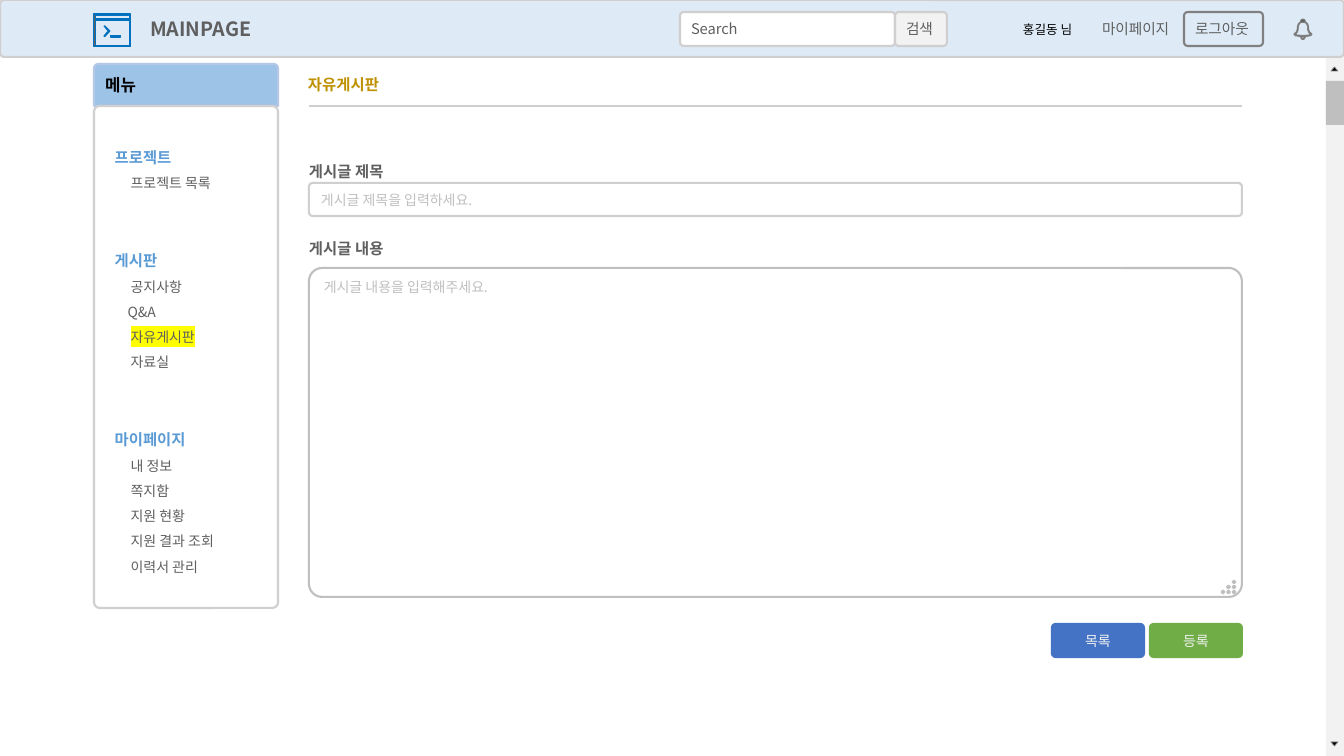
from dataclasses import dataclass
from lxml.etree import SubElement
from pptx import Presentation
from pptx.dml.color import RGBColor as RGB
from pptx.enum.shapes import MSO_CONNECTOR as CONN, MSO_SHAPE as SHAPE
from pptx.enum.text import MSO_ANCHOR as ANCHOR, PP_ALIGN as ALIGN
from pptx.oxml.ns import qn
from pptx.util import Emu, Pt

PX = 12192000 / 1344
TENTH = PX / 10


@dataclass(frozen=True)
class Theme:
    font: str = "Noto Sans CJK KR"
    white: str = "FFFFFF"
    black: str = "000000"
    text: str = "5F5F5F"
    border: str = "D0CECE"
    hint: str = "BFBFBF"
    pale: str = "F2F2F2"
    gray: str = "808080"
    bar: str = "DEEBF7"
    menu: str = "9DC3E6"
    menu_edge: str = "B4C7E7"
    link: str = "5B9BD5"
    gold: str = "BF9000"
    blue: str = "4472C4"
    green: str = "70AD47"
    icon: str = "0070C0"
    mark: str = "FFFF00"
    brand: float = 14
    head: float = 12
    label: float = 11
    control: float = 10.5
    body: float = 10
    small: float = 9
    edge: float = 1.5
    thin: float = 0.75
    hair: float = 0.5


T = Theme()


def px(n):
    return Emu(round(n * PX))


def set_all(obj, **values):
    for name, value in values.items():
        setattr(obj, name, value)


def paint(s, fill, line=None, width=T.edge):
    s.shadow.inherit = False
    s.fill.solid()
    s.fill.fore_color.rgb = RGB.from_string(fill)
    if line:
        s.line.color.rgb = RGB.from_string(line)
        s.line.width = Pt(width)
    else:
        s.line.fill.background()


def frame(s, pad=(10, 7), anchor=ANCHOR.MIDDLE, wrap=True):
    tf = s.text_frame
    left, top = px(pad[0]), px(pad[1])
    set_all(tf, word_wrap=wrap, vertical_anchor=anchor, margin_left=left,
            margin_right=min(left, px(19)), margin_top=top, margin_bottom=min(top, px(7)))
    return tf


def write(p, text, size, color, bold=False, align=ALIGN.LEFT, mark=None):
    p.alignment = align
    r = p.add_run()
    r.text = text
    set_all(r.font, name=T.font, size=Pt(size), bold=bold)
    r.font.color.rgb = RGB.from_string(color)
    props = r.font._element
    SubElement(props, qn("a:ea")).set("typeface", T.font)
    if mark:
        highlight = SubElement(props, qn("a:highlight"))
        SubElement(highlight, qn("a:srgbClr")).set("val", mark)
        props.find(qn("a:latin")).addprevious(highlight)


def add_box(shapes, kind, box, fill, line=None, adj=()):
    s = shapes.add_shape(kind, *map(px, box))
    paint(s, fill, line)
    for i, value in enumerate(adj):
        s.adjustments[i] = value
    return s


def add_field(shapes, box, text, size, color, fill, line=None, adj=0.11,
              align=ALIGN.LEFT, anchor=ANCHOR.MIDDLE, pad=(10, 7), bold=False):
    s = add_box(shapes, SHAPE.ROUNDED_RECTANGLE, box, fill, line, (adj,))
    write(frame(s, pad, anchor).paragraphs[0], text, size, color, bold, align)


def add_text(shapes, box, text, size, color, bold=False, pad=(10, 5), wrap=True):
    s = shapes.add_textbox(*map(px, box))
    write(frame(s, pad, ANCHOR.TOP, wrap).paragraphs[0], text, size, color, bold)


def add_outline(shapes, origin, contours, fill, line, width):
    first, *others = contours
    builder = shapes.build_freeform(*first[0], scale=TENTH)
    builder.add_line_segments(first[1:], close=True)
    for points in others:
        builder.move_to(*points[0])
        builder.add_line_segments(points[1:], close=True)
    paint(builder.convert_to_shape(*map(px, origin)), fill, line, width)


def rect(left, top, right, bottom):
    return [(left, top), (right, top), (right, bottom), (left, bottom)]


def mirrored(half):
    return half + [(-x, y) for x, y in reversed(half) if x]


def diamond(x, y, r):
    return [(x - r, y), (x, y - r), (x + r, y), (x, y + r)]


def window_icon(shapes, origin):
    chevron = [(102, 122), (108, 118), (160, 170), (108, 226), (100, 220), (142, 170)]
    add_outline(shapes, origin, [
        rect(0, 0, 370, 325), rect(12, 12, 356, 50), rect(12, 62, 356, 312),
        chevron, rect(165, 214, 265, 230)], T.text, T.icon, T.thin)


def bell_icon(shapes, origin):
    shell = [(0, 0), (15, 5), (22, 15), (22, 25), (45, 45), (55, 72), (58, 110), (68, 132),
             (85, 145), (90, 155), (75, 167), (22, 176), (20, 190), (12, 201), (0, 205)]
    hollow = [(0, 32), (25, 37), (40, 55), (46, 75), (48, 110), (60, 138),
              (76, 152), (60, 160), (0, 165)]
    clapper = [(0, 177), (12, 176), (10, 189), (0, 196)]
    add_outline(shapes, origin, map(mirrored, (shell, hollow, clapper)),
                T.text, T.gray, T.thin)


def header(shapes, box):
    x, y, w, h = box
    add_field(shapes, box, "MAINPAGE", T.brand, T.text, T.bar, T.border, 0.07,
              pad=(149, 5), bold=True)
    top = y + 12
    for left, width, text, fill, line in (
            (680, 215, "Search", T.white, T.border), (895, 52, "검색", T.pale, T.border),
            (1091, 92, "마이페이지", T.bar, None), (1184, 79, "로그아웃", T.bar, T.gray)):
        add_field(shapes, (x + left, top, width, 34), text, T.control, T.text, fill, line)
    add_text(shapes, (x + 1013, y + 17, 87, 25), "홍길동 님", T.small, T.black)
    window_icon(shapes, (x + 94, y + 14))
    bell_icon(shapes, (x + 1303, y + 19))


def sidebar(shapes, box, groups, current):
    x, y, w, h = box
    tab = 42
    s = add_box(shapes, SHAPE.ROUND_2_SAME_RECTANGLE, (x, y, w, tab),
                T.menu, T.menu_edge, (0.1, 0))
    write(frame(s, (10, 10), ANCHOR.TOP).paragraphs[0], "메뉴", T.head, T.black, True)
    s = add_box(shapes, SHAPE.ROUNDED_RECTANGLE, (x, y + tab, w, h - tab),
                T.white, T.border, (0.03,))
    tf = frame(s, (19, 31), ANCHOR.TOP)
    p = tf.paragraphs[0]
    for i, (title, items) in enumerate(groups.items()):
        if i:
            p = tf.add_paragraph()
            p.space_before = Pt(36)
        p.line_spacing = 1.5
        write(p, title, T.label, T.link, True)
        for item in items:
            p = tf.add_paragraph()
            p.line_spacing = 1.5
            p._p.get_or_add_pPr().set("marL", str(px(13 if item.isascii() else 16)))
            write(p, item, T.body, T.text, mark=T.mark if item == current else None)


def post_form(shapes, box):
    x, y, w, h = box
    add_text(shapes, (x - 11, y, 174, 29), "자유게시판", T.label, T.gold, True)
    rule = shapes.add_connector(CONN.STRAIGHT, *map(px, (x, y + 36, x + w, y + 36)))
    rule.line.color.rgb = RGB.from_string(T.border)
    rule.line.width = Pt(T.edge)
    SubElement(rule._element.spPr, qn("a:effectLst"))
    for top, text in ((87, "게시글 제목"), (164, "게시글 내용")):
        add_text(shapes, (x, y + top, 78, 21), text, T.label, T.text, True, (0, 5), False)
    add_field(shapes, (x, y + 113, w, 33), "게시글 제목을 입력하세요.", T.body, T.hint,
              T.white, T.border, pad=(11, 7))
    add_field(shapes, (x, y + 198, w, 329), "게시글 내용을 입력해주세요.", T.body, T.hint,
              T.white, T.hint, 0.04, anchor=ANCHOR.TOP, pad=(11, 7))
    dots = [diamond(55 * col, 50 * row, 13) for row in range(3) for col in range(2 - row, 3)]
    add_outline(shapes, (x + w - 19, y + 512), dots, T.white, T.hint, T.edge)
    bw, gap = 92, 6
    for i, (text, color) in enumerate((("등록", T.green), ("목록", T.blue))):
        add_field(shapes, (x + w - bw - i * (bw + gap), y + h - 34, bw, 33), text,
                  T.body, T.pale, color, color, align=ALIGN.CENTER)


def scrollbar(shapes, box):
    x, y, w, h = box
    add_box(shapes, SHAPE.RECTANGLE, box, T.pale)
    add_box(shapes, SHAPE.RECTANGLE, (x, y + 24, w, 44), T.hint)
    for base, tip in ((y + 14, -40), (y + h - 14, 40)):
        add_outline(shapes, (x + 5, base), [[(0, 0), (35, tip), (70, 0)]],
                    T.black, T.gray, T.hair)


MENU = {
    "프로젝트": ["프로젝트 목록"],
    "게시판": ["공지사항", "Q&A", "자유게시판", "자료실"],
    "마이페이지": ["내 정보", "쪽지함", "지원 현황", "지원 결과 조회", "이력서 관리"],
}


def main():
    prs = Presentation()
    set_all(prs, slide_width=px(1344), slide_height=px(756))
    shapes = prs.slides.add_slide(prs.slide_layouts[6]).shapes
    scrollbar(shapes, (1326, 57, 18, 699))
    sidebar(shapes, (94, 64, 184, 544), MENU, "자유게시판")
    post_form(shapes, (309, 70, 933, 588))
    header(shapes, (0, 0, 1344, 57))
    prs.save("out.pptx")


if __name__ == "__main__":
    main()
